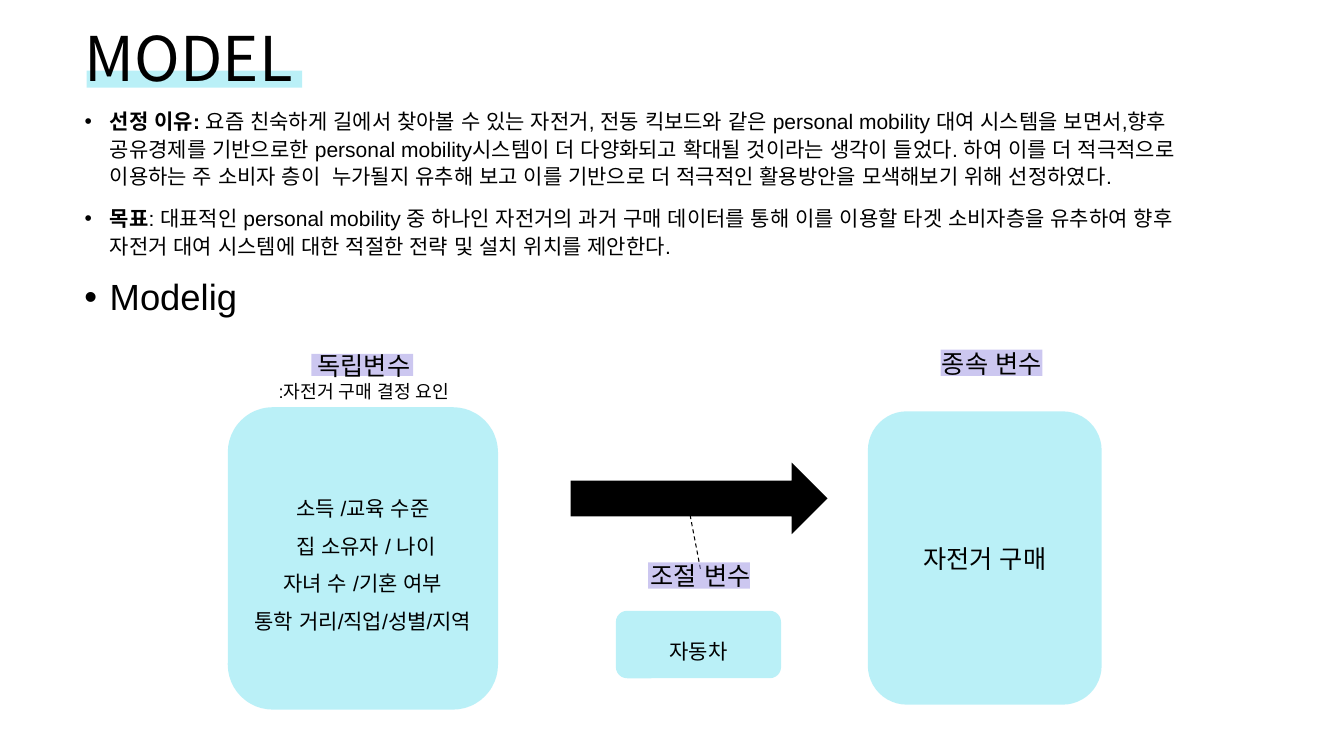
"""Build the MODEL slide: selection reason, goal and a variable diagram."""
from lxml import etree
from pptx import Presentation
from pptx.dml.color import RGBColor
from pptx.enum.dml import MSO_LINE
from pptx.enum.lang import MSO_LANGUAGE_ID as Language
from pptx.enum.shapes import MSO_CONNECTOR, MSO_SHAPE as Preset
from pptx.enum.text import MSO_ANCHOR as Anchor, MSO_AUTO_SIZE as AutoSize, PP_ALIGN as Align
from pptx.oxml.ns import qn
from pptx.util import Pt

BLACK = RGBColor(0x00, 0x00, 0x00)
AQUA = RGBColor(0x77, 0xE2, 0xF1)
VIOLET = RGBColor(0x9B, 0x91, 0xE3)
LATIN = "Arial"
HANGUL = "Noto Sans CJK KR"


def write(shape, paragraphs, anchor, font_name=LATIN, bullet=False, **paragraph_format):
    """Fill a shape with paragraphs, each a list of (text, size, bold) runs."""
    frame = shape.text_frame
    frame.auto_size = AutoSize.NONE
    frame.word_wrap = True
    frame.vertical_anchor = anchor
    for index, runs in enumerate(paragraphs):
        paragraph = frame.add_paragraph() if index else frame.paragraphs[0]
        for name, value in paragraph_format.items():
            setattr(paragraph, name, value)
        if bullet:
            properties = paragraph._p.get_or_add_pPr()
            properties.set("marL", str(Pt(18)))
            properties.set("indent", str(-Pt(18)))
            etree.SubElement(properties, qn("a:buFont")).set("typeface", LATIN)
            etree.SubElement(properties, qn("a:buChar")).set("char", "•")
        for text, size, bold in runs:
            run = paragraph.add_run()
            run.text = text
            font_format = {"size": Pt(size), "bold": bold, "name": font_name,
                           "language_id": Language.KOREAN}
            for name, value in font_format.items():
                setattr(run.font, name, value)
            run.font.color.rgb = BLACK
            east_asian = etree.Element(qn("a:ea"), typeface=HANGUL)
            run.font._element.find(qn("a:latin")).addnext(east_asian)


def add_block(preset, place, color, opacity=50):
    """Add a borderless filled shape with the given opacity in percent."""
    shape = slide.shapes.add_shape(preset, *map(Pt, place))
    shape.shadow.inherit = False
    shape.line.fill.background()
    shape.fill.solid()
    shape.fill.fore_color.rgb = color
    if opacity < 100:
        fill_color = shape._element.spPr.find(".//" + qn("a:srgbClr"))
        etree.SubElement(fill_color, qn("a:alpha")).set("val", str(opacity * 1000))
    return shape


presentation = Presentation()
presentation.slide_width = Pt(960)
presentation.slide_height = Pt(540)
slide = presentation.slides.add_slide(presentation.slide_layouts[1])

title = slide.shapes.title
body = slide.placeholders[1]
for placeholder, place in ((title, (53.3, 15.8, 190, 56.2)), (body, (53.3, 72, 828, 122.4))):
    for name, value in zip(("left", "top", "width", "height"), place):
        setattr(placeholder, name, Pt(value))

title_highlight = add_block(Preset.RECTANGLE, (61.9, 50.4, 154, 12.2), AQUA)
title.element.addprevious(title_highlight.element)
write(title, [[("MODEL", 44, False)]], Anchor.MIDDLE, font_name=HANGUL,
      alignment=Align.LEFT, line_spacing=0.9)

write(body, [
    [("선정 이유:", 15, True),
     (" 요즘 친숙하게 길에서 찾아볼 수 있는 자전거, 전동 킥보드와 같은 personal mobility 대여 시스템을 "
      "보면서,향후 공유경제를 기반으로한 personal mobility시스템이 더 다양화되고 확대될 것이라는 생각이 "
      "들었다. 하여 이를 더 적극적으로 이용하는 주 소비자 층이  누가될지 유추해 보고 이를 기반으로 더 "
      "적극적인 활용방안을 모색해보기 위해 선정하였다.", 15, False)],
    [("목표", 15, True),
     (": 대표적인 personal mobility 중 하나인 자전거의 과거 구매 데이터를 통해 이를 이용할 타겟 "
      "소비자층을 유추하여 향후 자전거 대여 시스템에 대한 적절한 전략 및 설치 위치를 제안한다.", 15, False)],
], Anchor.TOP, bullet=True, alignment=Align.LEFT, line_spacing=1.1, space_before=Pt(10))

modeling = slide.shapes.add_textbox(Pt(53.3), Pt(195.8), Pt(148.3), Pt(35.3))
write(modeling, [[("Modelig", 26, False)]], Anchor.TOP, bullet=True,
      line_spacing=0.9, space_before=Pt(10))

moderator_link = slide.shapes.add_connector(
    MSO_CONNECTOR.STRAIGHT, Pt(491), Pt(357.8), Pt(500.4), Pt(406.8))
moderator_link.line.color.rgb = BLACK
moderator_link.line.width = Pt(0.75)
moderator_link.line.dash_style = MSO_LINE.DASH
etree.SubElement(moderator_link._element.spPr, qn("a:effectLst"))

variable_boxes = [
    ((162.7, 290.9, 193, 216), 15, 1.5,
     ["소득 /교육 수준", " 집 소유자 / 나이", "자녀 수 /기혼 여부", "통학 거리/직업/성별/지역"]),
    ((619.9, 293.8, 167, 209.5), 18, 1.0, ["자전거 구매"]),
    ((439.9, 436.3, 118, 48.2), 15, 1.5, ["자동차"]),
]
for place, size, spacing, lines in variable_boxes:
    box = add_block(Preset.FLOWCHART_ALTERNATE_PROCESS, place, AQUA)
    write(box, [[(line, size, False)] for line in lines], Anchor.MIDDLE,
          alignment=Align.CENTER, line_spacing=spacing)

variable_labels = [
    ((222.5, 252.7, 72.7, 15.8), (185.8, 243.4, 148.3, 51.1),
     [("독립변수", 18), (":자전거 구매 결정 요인", 13)]),
    ((671.8, 249.8, 72.7, 18.7), (653.8, 235.4, 109.4, 48.2), [("종속 변수", 18)]),
    ((463, 401.8, 72.7, 18.7), (449.3, 392.4, 102.2, 36.7), [("조절 변수", 18)]),
]
for highlight_place, label_place, lines in variable_labels:
    add_block(Preset.RECTANGLE, highlight_place, VIOLET)
    label = slide.shapes.add_textbox(*map(Pt, label_place))
    write(label, [[(text, size, False)] for text, size in lines], Anchor.MIDDLE,
          alignment=Align.CENTER)

add_block(Preset.RIGHT_ARROW, (407.5, 330.5, 183.6, 51.1), BLACK, opacity=100)

presentation.save("out.pptx")
